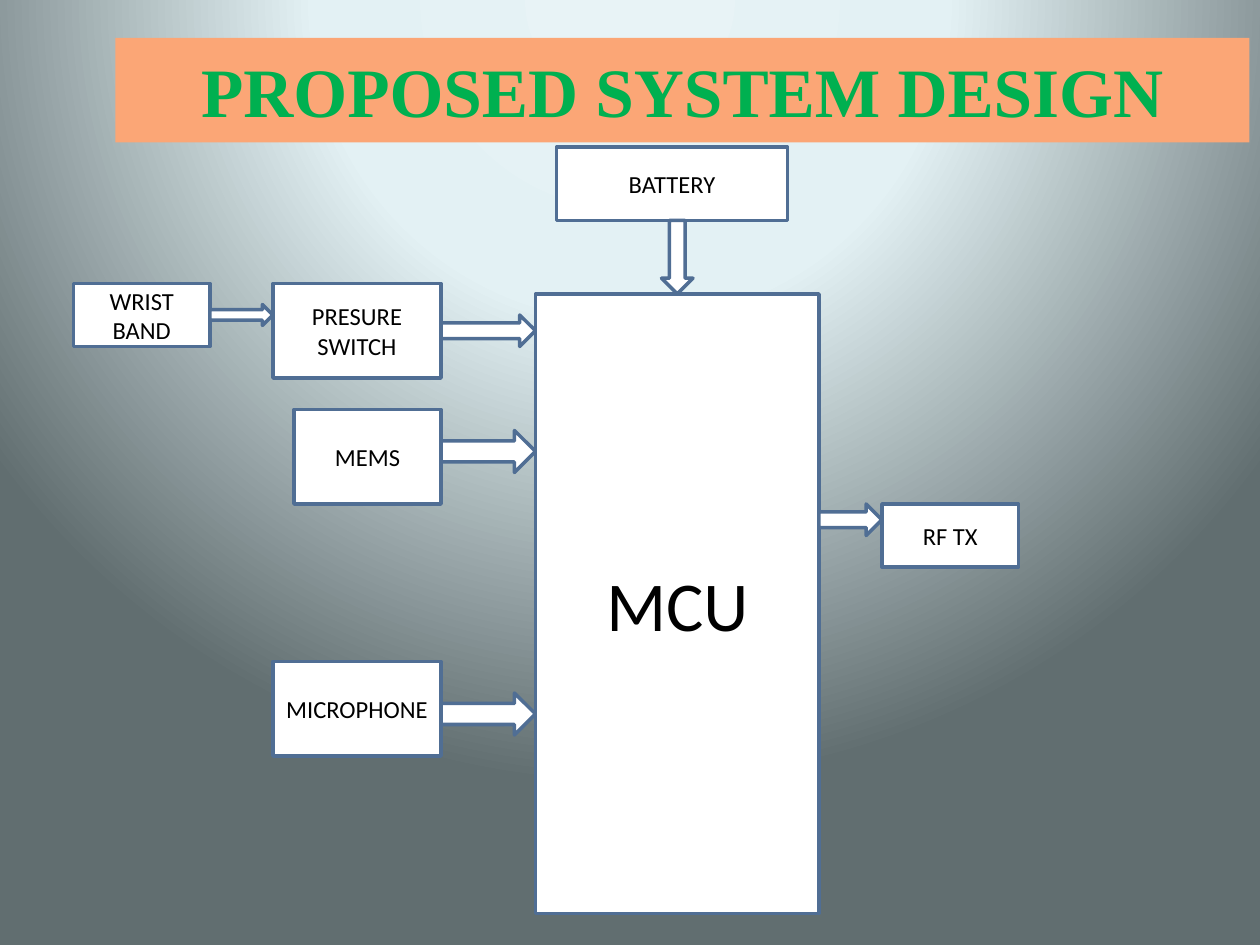
from pptx import Presentation
from pptx.dml.color import RGBColor
from pptx.enum.shapes import MSO_SHAPE
from pptx.enum.text import MSO_ANCHOR, MSO_AUTO_SIZE, PP_ALIGN
from pptx.oxml import parse_xml
from pptx.util import Pt

RECTANGLE = MSO_SHAPE.RECTANGLE
RIGHT_ARROW, DOWN_ARROW = MSO_SHAPE.RIGHT_ARROW, MSO_SHAPE.DOWN_ARROW
MIDDLE, CENTER = MSO_ANCHOR.MIDDLE, PP_ALIGN.CENTER
NO_AUTOFIT = MSO_AUTO_SIZE.NONE

TITLE = "PROPOSED SYSTEM DESIGN"
TITLE_BOX = (66, 21.6, 648, 59.76)

# block: left, top, width, height, text size
BLOCKS = {
    "MCU": (306, 168, 162, 354, 40),
    "BATTERY": (318, 84, 132, 42, 14),
    "WRIST BAND": (42, 162, 78, 36, 14),
    "PRESURE SWITCH": (156, 162, 96, 54, 14),
    "MEMS": (168, 234, 84, 54, 14),
    "MICROPHONE": (156, 378, 96, 54, 14),
    "RF TX": (504, 288, 78, 36, 14),
}
# from block, to block, position of the arrow's axis, thickness
RIGHT_FLOWS = [
    ("WRIST BAND", "PRESURE SWITCH", 180, 12),
    ("PRESURE SWITCH", "MCU", 189, 18),
    ("MEMS", "MCU", 258, 24),
    ("MICROPHONE", "MCU", 408, 24),
    ("MCU", "RF TX", 297, 18),
]
DOWN_FLOWS = [("BATTERY", "MCU", 387, 18)]

BACKDROP_STOPS = [(0, "E8F3F6"), (40, "E3F1F4"), (100, "616E70")]


def rgb(hex_code):
    return RGBColor.from_string(hex_code)


def set_backdrop(slide):
    """Radial gradient centred above the slide; python-pptx has no path gradients."""
    stops = "".join(f'<a:gs pos="{pos * 1000}"><a:srgbClr val="{color}"/></a:gs>'
                    for pos, color in BACKDROP_STOPS)
    slide.element.cSld.insert(0, parse_xml(
        '<p:bg xmlns:p="http://schemas.openxmlformats.org/presentationml/2006/main"'
        ' xmlns:a="http://schemas.openxmlformats.org/drawingml/2006/main">'
        f'<p:bgPr><a:gradFill rotWithShape="1"><a:gsLst>{stops}</a:gsLst>'
        '<a:path path="circle">'
        '<a:fillToRect l="50000" t="-80000" r="50000" b="180000"/></a:path>'
        '</a:gradFill><a:effectLst/></p:bgPr></p:bg>'))


def write(shape, text, font_name, size, color, bold=False):
    frame = shape.text_frame
    frame.text = text
    frame.word_wrap = True
    frame.auto_size = NO_AUTOFIT
    frame.vertical_anchor = MIDDLE
    paragraph = frame.paragraphs[0]
    paragraph.alignment = CENTER
    font = paragraph.runs[0].font
    font.name, font.size, font.bold = font_name, Pt(size), bold
    font.color.rgb = rgb(color)


def add_outlined(slide, kind, *box):
    shape = slide.shapes.add_shape(kind, *map(Pt, box))
    shape.shadow.inherit = False
    shape.fill.solid()
    shape.fill.fore_color.rgb = rgb("FFFFFF")
    shape.line.color.rgb = rgb("506E94")
    shape.line.width = Pt(2)
    return shape


def main():
    prs = Presentation()
    prs.slide_width, prs.slide_height = Pt(720), Pt(540)
    slide = prs.slides.add_slide(prs.slide_layouts[5])
    set_backdrop(slide)

    title = slide.shapes.title
    title.left, title.top, title.width, title.height = map(Pt, TITLE_BOX)
    title.fill.solid()
    title.fill.fore_color.rgb = rgb("FBA676")
    write(title, TITLE, "Times New Roman", 39.6, "00B050", bold=True)

    for label, (*box, size) in BLOCKS.items():
        write(add_outlined(slide, RECTANGLE, *box), label, "Calibri", size, "000000")

    for source, target, axis, thickness in RIGHT_FLOWS:
        left, _, width, *_ = BLOCKS[source]
        start = left + width
        add_outlined(slide, RIGHT_ARROW, start, axis - thickness / 2,
                     BLOCKS[target][0] - start, thickness)
    for source, target, axis, thickness in DOWN_FLOWS:
        _, top, _, height, _ = BLOCKS[source]
        start = top + height
        add_outlined(slide, DOWN_ARROW, axis - thickness / 2, start,
                     thickness, BLOCKS[target][1] - start)

    prs.save("out.pptx")


if __name__ == "__main__":
    main()
